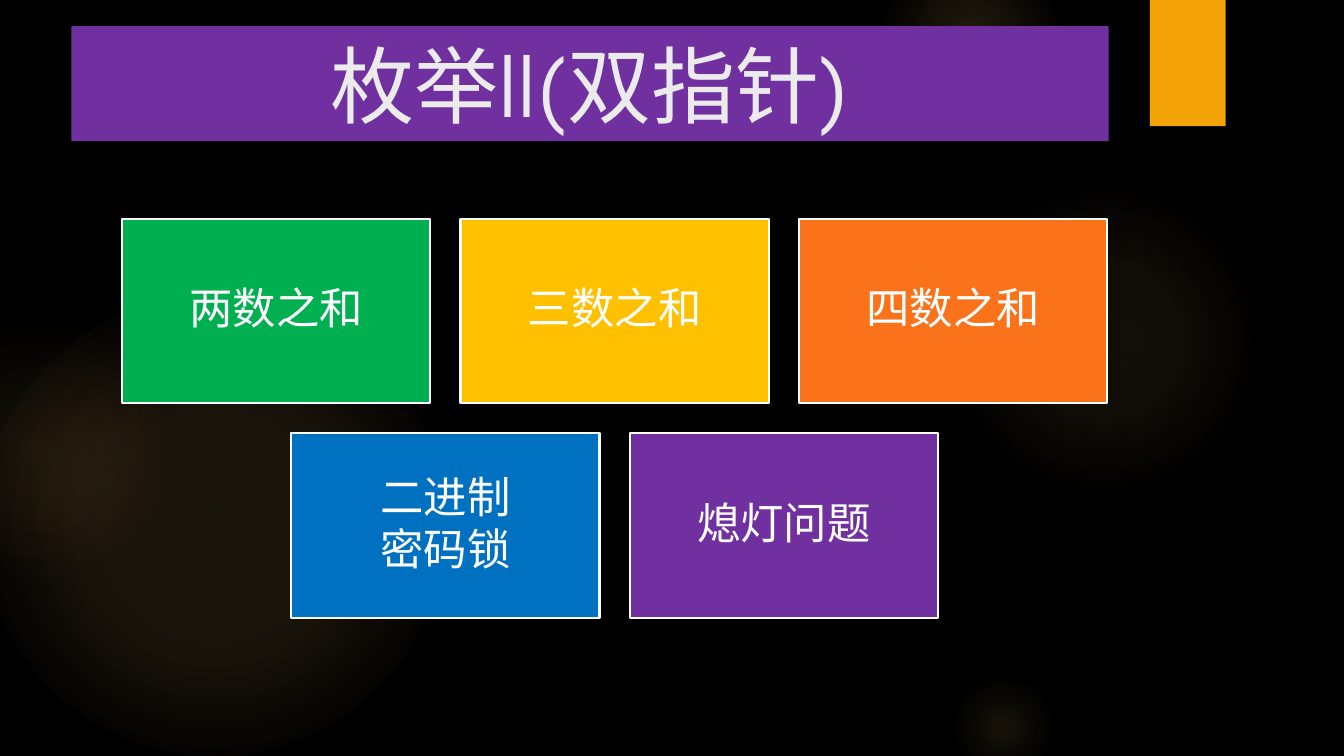
from lxml import etree
from pptx import Presentation
from pptx.dml.color import RGBColor
from pptx.enum import shapes, text
from pptx.oxml import ns
from pptx.util import Cm, Pt

COLORS = {
    "black": "000000",
    "white": "FFFFFF",
    "pale": "EBEBEB",
    "glow": "FAC96A",
    "rose": "F59B74",
    "amber": "F5A408",
    "green": "00B050",
    "gold": "FFC000",
    "orange": "FA731A",
    "blue": "0070C0",
    "purple": "7030A0",
}
LATIN = "TeX Gyre Adventor"
HAN = "Noto Sans CJK SC"

GLOWS = [
    (-0.43, 7.42, 11.63, [(0, 11), (36, 10), (75, 0)], "glow"),
    (-2.34, 8.05, 6.55, [(0, 8), (36, 5), (71, 0)], "rose"),
    (23.9, 4.65, 7.82, [(0, 7), (36, 6), (69, 0)], "glow"),
    (22.23, -1.27, 4.45, [(0, 14), (36, 7), (73, 0)], "glow"),
    (23.9, 16.94, 2.74, [(0, 10), (31, 5), (66, 0)], "glow"),
]
ROWS = [
    [("green", ["两数之和"]), ("gold", ["三数之和"]), ("orange", ["四数之和"])],
    [("blue", ["二进制", "密码锁"]), ("purple", ["熄灯问题"])],
]
CARD_W, CARD_H, GAP = 7.77, 4.65, 0.76
MIDDLE, TOP = 15.49, 5.51


def rgb(name):
    return RGBColor.from_string(COLORS[name])


def add_box(slide, left, top, width, height, fill, kind=shapes.MSO_SHAPE.RECTANGLE):
    box = slide.shapes.add_shape(kind, Cm(left), Cm(top), Cm(width), Cm(height))
    box.shadow.inherit = False
    box.fill.solid()
    box.fill.fore_color.rgb = rgb(fill)
    box.line.fill.background()
    return box


def add_glow(slide, left, top, size, stops, edge):
    disc = add_box(slide, left, top, size, size, "glow", shapes.MSO_SHAPE.OVAL)
    grad = etree.Element(ns.qn("a:gradFill"), rotWithShape="1")
    steps = etree.SubElement(grad, ns.qn("a:gsLst"))
    for spot, alpha in stops:
        stop = etree.SubElement(steps, ns.qn("a:gs"), pos=str(spot * 1000))
        tint = COLORS[edge if alpha == 0 else "glow"]
        color = etree.SubElement(stop, ns.qn("a:srgbClr"), val=tint)
        etree.SubElement(color, ns.qn("a:alpha"), val=str(alpha * 1000))
    shade = etree.SubElement(grad, ns.qn("a:path"), {"path": "circle"})
    sides = dict.fromkeys("ltrb", "50000")
    etree.SubElement(shade, ns.qn("a:fillToRect"), sides)
    solid = disc.fill._xPr.find(ns.qn("a:solidFill"))
    solid.getparent().replace(solid, grad)


def add_text(box, lines, size, color, font, pad, space=1.0, after=0):
    frame = box.text_frame
    frame.word_wrap = True
    frame.vertical_anchor = text.MSO_ANCHOR.MIDDLE
    frame.margin_left = frame.margin_right = Cm(pad)
    frame.margin_top = frame.margin_bottom = Cm(pad)
    for index, line in enumerate(lines):
        para = frame.add_paragraph() if index else frame.paragraphs[0]
        para.alignment = text.PP_ALIGN.CENTER
        para.line_spacing = space
        para.space_after = Pt(after)
        run = para.add_run()
        run.text = line
        run.font.size = Pt(size)
        run.font.color.rgb = rgb(color)
        run.font.name = font
        etree.SubElement(run.font._element, ns.qn("a:ea"), typeface=HAN)


def add_card(slide, left, top, fill, lines):
    card = add_box(slide, left, top, CARD_W, CARD_H, fill)
    card.line.color.rgb = rgb("white")
    card.line.width = Pt(1.5)
    add_text(card, lines, 31, "white", HAN, 0.33, 0.9, 4)


def add_row(slide, top, cards):
    pitch = CARD_W + GAP
    left = MIDDLE - (len(cards) * pitch - GAP) / 2
    for index, (fill, lines) in enumerate(cards):
        add_card(slide, left + index * pitch, top, fill, lines)


def main():
    deck = Presentation()
    deck.slide_width, deck.slide_height = Cm(33.87), Cm(19.05)
    slide = deck.slides.add_slide(deck.slide_layouts[6])
    slide.background.fill.solid()
    slide.background.fill.fore_color.rgb = rgb("black")
    for glow in GLOWS:
        add_glow(slide, *glow)
    add_box(slide, 28.98, 0, 1.91, 3.18, "amber")
    title = add_box(slide, 1.8, 0.66, 26.14, 2.9, "purple")
    add_text(title, ["枚举II(双指针)"], 60, "pale", LATIN, 0.13)
    for index, cards in enumerate(ROWS):
        add_row(slide, TOP + index * (CARD_H + GAP), cards)
    deck.save("out.pptx")


if __name__ == "__main__":
    main()
